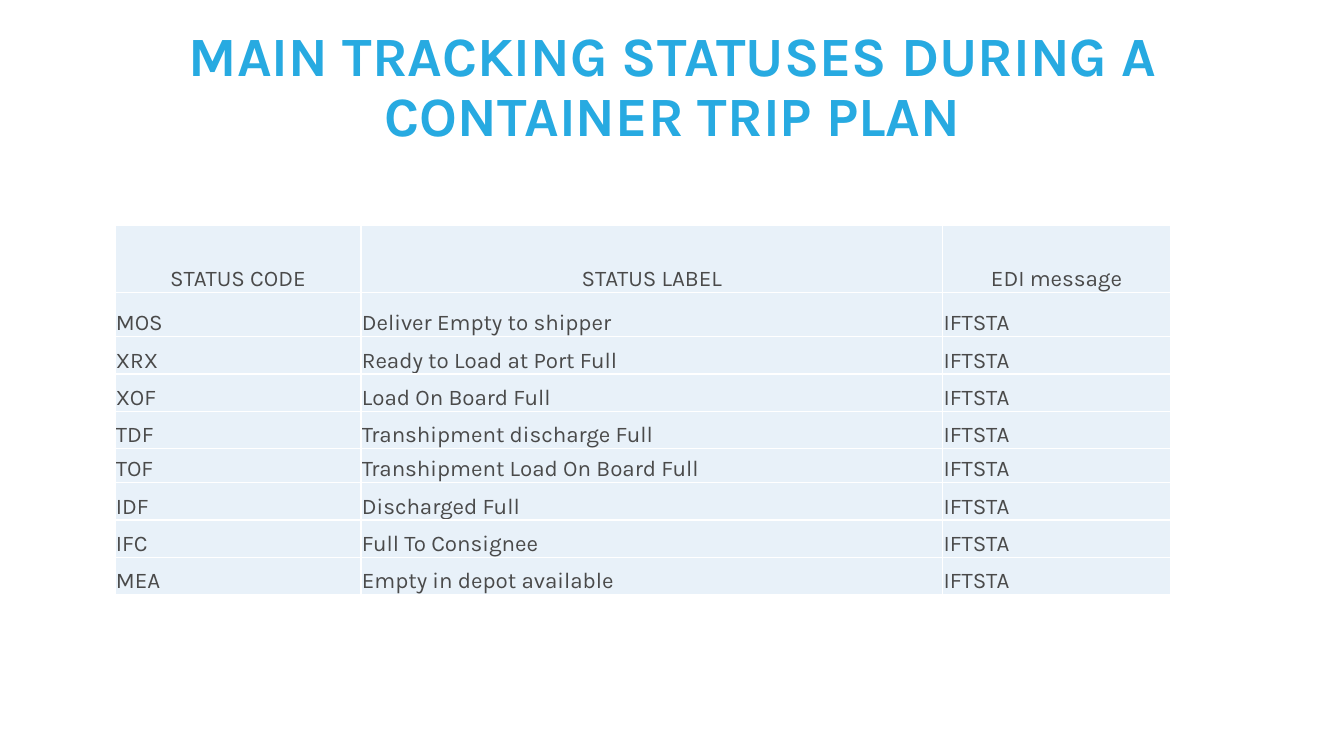
from lxml.etree import SubElement
from pptx import Presentation
from pptx.dml.color import RGBColor
from pptx.enum.text import MSO_ANCHOR as ANCHOR, PP_ALIGN as ALIGN
from pptx.oxml.ns import qn
from pptx.util import Inches, Pt

FONT = "Karla"
SKY = RGBColor(0x27, 0xAA, 0xE1)
GREY = RGBColor(0x4A, 0x4A, 0x4A)
PALE = RGBColor(0xE8, 0xF1, 0xF9)
WHITE = RGBColor(0xFF, 0xFF, 0xFF)

WIDTH, HEIGHT = Inches(13.33), Inches(7.5)
COLUMNS = [2.44, 5.77, 2.26]
ROWS = [0.66, 0.44] + [0.37] * 3 + [0.34] + [0.37] * 3

HEADER = ("STATUS CODE", "STATUS LABEL", "EDI message")
MESSAGE = "IFTSTA"
STATUSES = [
    ("MOS", "Deliver Empty to shipper"),
    ("XRX", "Ready to Load at Port Full"),
    ("XOF", "Load On Board Full"),
    ("TDF", "Transhipment discharge Full"),
    ("TOF", "Transhipment Load On Board Full"),
    ("IDF", "Discharged Full"),
    ("IFC", "Full To Consignee"),
    ("MEA", "Empty in depot available"),
]


def add_run(p, text, size, color, bold=False):
    r = p.add_run()
    r.text = text
    r.font.name, r.font.size, r.font.bold = FONT, Pt(size), bold
    r.font.color.rgb = color


def add_title(slide, text):
    sp = slide.shapes.add_textbox(
        int(WIDTH * 0.069), int(HEIGHT * 0.053),
        int(WIDTH * 0.863), int(HEIGHT * 0.128))
    tf = sp.text_frame
    tf.word_wrap = True
    tf.vertical_anchor = ANCHOR.MIDDLE
    p = tf.paragraphs[0]
    p.alignment, p.line_spacing = ALIGN.CENTER, 0.9
    add_run(p, text, 39.6, SKY, bold=True)


def add_borders(cell, color, width):
    # Border lines must come before the fill in the cell properties
    props = cell._tc.get_or_add_tcPr()
    for i, side in enumerate(("lnL", "lnR", "lnT", "lnB")):
        line = SubElement(props, qn(f"a:{side}"), w=str(Pt(width)))
        fill = SubElement(line, qn("a:solidFill"))
        SubElement(fill, qn("a:srgbClr"), val=str(color))
        props.insert(i, line)


def fill_cell(cell, text, align):
    cell.fill.solid()
    cell.fill.fore_color.rgb = PALE
    cell.margin_left = cell.margin_right = cell.margin_top = Inches(0.01)
    cell.margin_bottom = 0
    cell.vertical_anchor = ANCHOR.BOTTOM
    p = cell.text_frame.paragraphs[0]
    p.alignment = align
    add_run(p, text, 16, GREY)
    add_borders(cell, WHITE, 1)


def add_status_table(slide, records):
    table = slide.shapes.add_table(
        len(ROWS), len(COLUMNS), int(WIDTH * 0.0855), int(HEIGHT * 0.2987),
        Inches(sum(COLUMNS)), Inches(sum(ROWS))).table
    table.horz_banding = False
    for column, width in zip(table.columns, COLUMNS):
        column.width = Inches(width)
    for i, (row, height, record) in enumerate(zip(table.rows, ROWS, records)):
        row.height = Inches(height)
        for cell, text in zip(row.cells, record):
            fill_cell(cell, text, ALIGN.LEFT if i else ALIGN.CENTER)
    table.first_row = False


def main():
    prs = Presentation()
    prs.slide_width, prs.slide_height = WIDTH, HEIGHT
    slide = prs.slides.add_slide(prs.slide_layouts[6])

    # Heading
    add_title(slide, "MAIN TRACKING STATUSES DURING A CONTAINER TRIP PLAN")

    # Status codes, all sent with the same message
    add_status_table(slide, [HEADER] + [(*s, MESSAGE) for s in STATUSES])

    prs.save("out.pptx")


if __name__ == "__main__":
    main()
